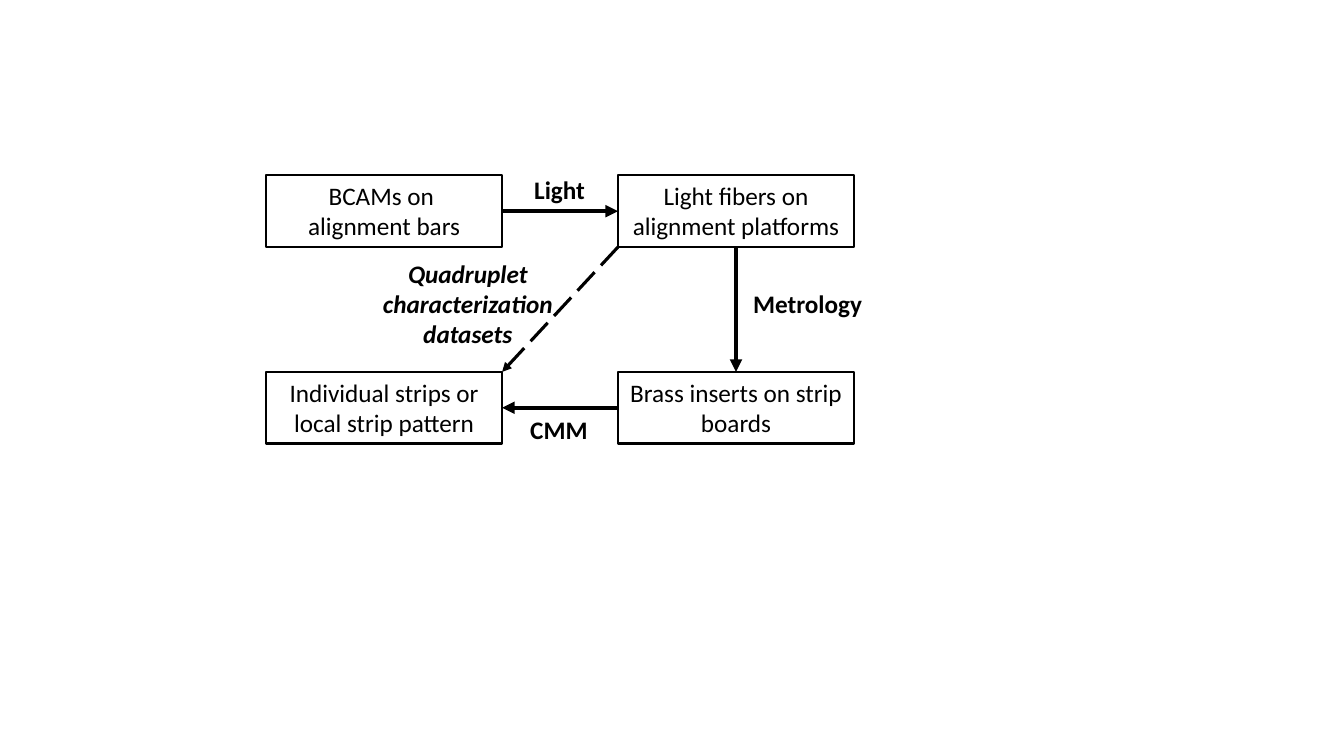
from lxml.etree import SubElement
from pptx import Presentation
from pptx.dml.color import RGBColor
from pptx.enum.dml import MSO_LINE
from pptx.enum.shapes import MSO_CONNECTOR, MSO_SHAPE
from pptx.enum.text import MSO_ANCHOR, MSO_AUTO_SIZE, PP_ALIGN
from pptx.oxml.ns import qn
from pptx.util import Inches, Pt

COLORS = {"ink": "000000"}
FONT = "Calibri"

# Stations of the alignment chain: column, row, paragraphs
STATIONS = {
    "bcams": (0, 0, ["BCAMs on ", "alignment bars"]),
    "fibers": (1, 0, ["Light fibers on alignment platforms"]),
    "inserts": (1, 1, ["Brass inserts on strip boards"]),
    "strips": (0, 1, ["Individual strips or local strip pattern"]),
}
# Links: start station, its side, end station, its side
LINKS = [
    ("bcams", 3, "fibers", 1),
    ("fibers", 2, "inserts", 0),
    ("inserts", 1, "strips", 3),
]
# Link labels: text, left, top, width, height, format
LABELS = [
    ("Light", 5.1, 1.68, 0.9, 0.4, {}),
    ("CMM", 5.16, 4.06, 0.78, 0.4, {"align": PP_ALIGN.LEFT}),
    ("Quadruplet characterization datasets", 3.67, 2.51, 1.94, 1.01, {"italic": True}),
    ("Metrology", 7.34, 2.81, 1.34, 0.4, {}),
]

LEFT, TOP = 2.64, 1.74
COLUMN_STEP, ROW_STEP = 3.49, 1.95
STATION_W, STATION_H = 2.34, 0.71

prs = Presentation()
prs.slide_width, prs.slide_height = Inches(13.33), Inches(7.5)
slide = prs.slides.add_slide(prs.slide_layouts[6])
ink = RGBColor.from_string(COLORS["ink"])


def write(holder, paragraphs, bold=False, italic=False, align=PP_ALIGN.CENTER):
    frame = holder.text_frame
    frame.word_wrap = True
    frame.auto_size = MSO_AUTO_SIZE.SHAPE_TO_FIT_TEXT
    frame.vertical_anchor = MSO_ANCHOR.TOP
    for i, line in enumerate(paragraphs):
        paragraph = frame.paragraphs[0] if i == 0 else frame.add_paragraph()
        paragraph.alignment = align
        run = paragraph.add_run()
        run.text = line
        run.font.name, run.font.size = FONT, Pt(18)
        run.font.bold, run.font.italic = bold, italic
        run.font.color.rgb = ink


def add_arrow(start, end, width):
    arrow = slide.shapes.add_connector(MSO_CONNECTOR.STRAIGHT, *start, *end)
    arrow.line.color.rgb = ink
    arrow.line.width = Pt(width)
    SubElement(arrow.line._get_or_add_ln(), qn("a:tailEnd"), type="triangle")
    SubElement(arrow._element.spPr, qn("a:effectLst"))
    return arrow


# Stations
boxes = {}
for station, (column, row, paragraphs) in STATIONS.items():
    box = slide.shapes.add_shape(
        MSO_SHAPE.RECTANGLE,
        Inches(LEFT + column * COLUMN_STEP), Inches(TOP + row * ROW_STEP),
        Inches(STATION_W), Inches(STATION_H))
    box.shadow.inherit = False
    box.fill.background()
    box.line.color.rgb = ink
    box.line.width = Pt(1.5)
    write(box, paragraphs)
    boxes[station] = box

# Measured links
for source, source_side, target, target_side in LINKS:
    link = add_arrow((0, 0), (0, 0), 3)
    link.begin_connect(boxes[source], source_side)
    link.end_connect(boxes[target], target_side)

# Resulting link, corner to corner
fibers, strips = boxes["fibers"], boxes["strips"]
datasets_link = add_arrow((fibers.left, fibers.top + fibers.height),
                          (strips.left + strips.width, strips.top), 2.25)
datasets_link.line.dash_style = MSO_LINE.LONG_DASH

# Link labels
for text, left, top, width, height, style in LABELS:
    label = slide.shapes.add_textbox(
        Inches(left), Inches(top), Inches(width), Inches(height))
    write(label, [text], bold=True, **style)

prs.save("out.pptx")
